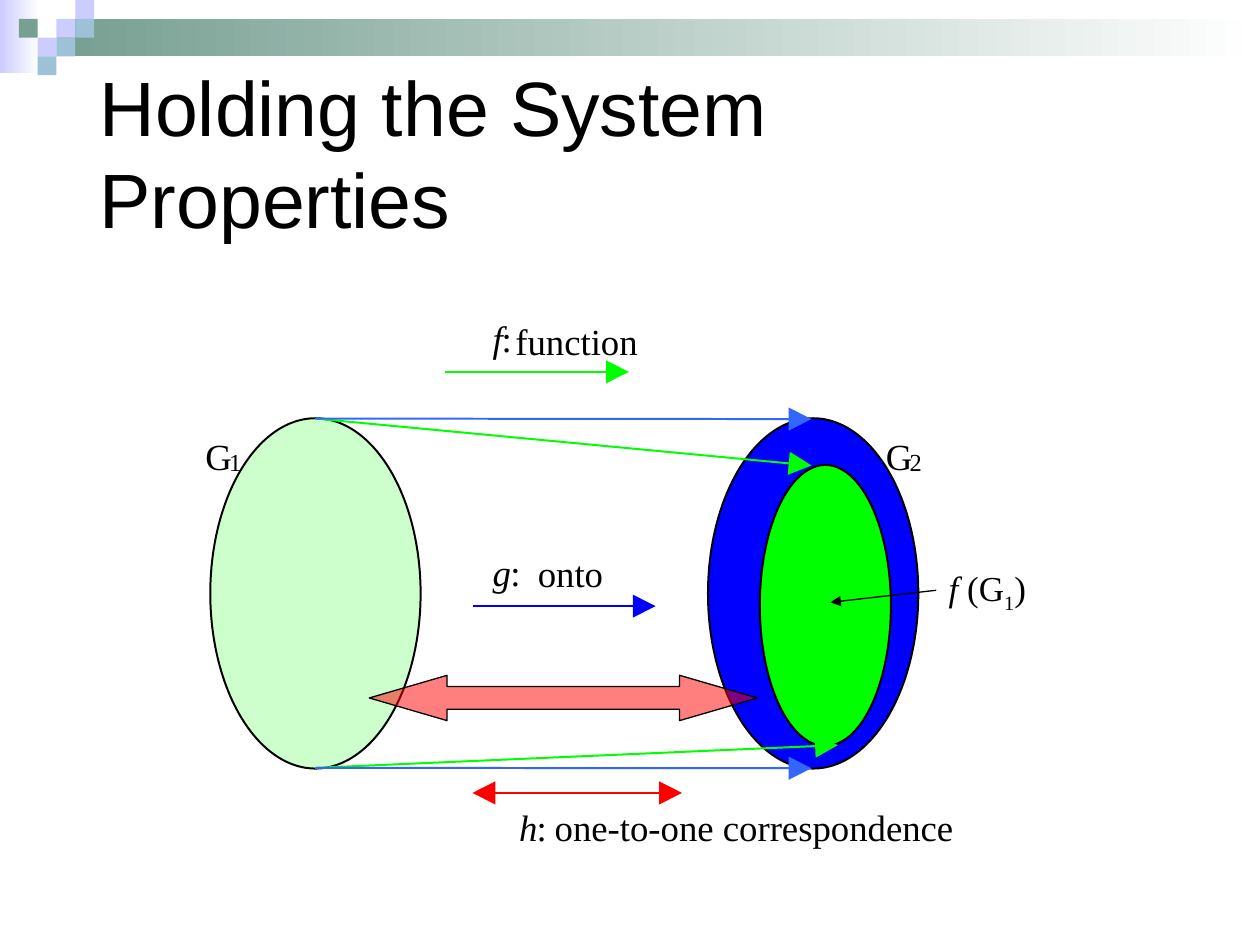
from dataclasses import dataclass
from math import hypot

from lxml.etree import SubElement
from pptx import Presentation
from pptx.dml.color import RGBColor
from pptx.enum.shapes import MSO_CONNECTOR, MSO_SHAPE
from pptx.enum.text import MSO_ANCHOR, MSO_AUTO_SIZE, PP_ALIGN
from pptx.oxml.ns import qn
from pptx.util import Pt


@dataclass(frozen=True)
class Theme:
    black: str = "000000"
    white: str = "FFFFFF"
    lilac: str = "CCCCFF"
    sage: str = "779F92"
    sky: str = "9DC2D7"
    mint: str = "CCFFCC"
    green: str = "00FF00"
    blue: str = "0000FF"
    azure: str = "3366FF"
    red: str = "FF0000"
    title_font: str = "Arial"
    label_font: str = "Times New Roman"
    title_size: float = 44
    label_size: float = 21
    image_size: float = 20
    index_size: float = 14
    line: float = 1.13
    thin: float = 0.75
    tile: float = 10.75
    head_length: float = 13
    head_half: float = 6.6


T = Theme()


@dataclass(frozen=True)
class Box:
    left: float
    top: float
    width: float
    height: float

    def emu(self) -> tuple:
        return Pt(self.left), Pt(self.top), Pt(self.width), Pt(self.height)


@dataclass(frozen=True)
class Arrow:
    start: tuple
    tip: tuple
    color: str
    double: bool = False


@dataclass(frozen=True)
class Label:
    text: str
    box: Box
    size: float = T.label_size
    italic: bool = False


SET_W, SET_H, SET_TOP = 120.2, 200.2, 239
DOMAIN = Box(120.2, SET_TOP, SET_W, SET_H)
CODOMAIN = Box(404.6, SET_TOP, SET_W, SET_H)
IMAGE = Box(434.2, 265.7, 74.9, 160.6)
ELLIPSES = [(DOMAIN, T.mint), (CODOMAIN, T.blue), (IMAGE, T.green)]

BANDS = [(Box(0, 0, 22.3, 41.8), T.lilac), (Box(32.4, 10.8, 687.6, 21.4), T.sage)]
TILES = [  # column, row, colour
    (4, 0, T.lilac), (3, 1, T.lilac), (4, 1, T.sky), (2, 2, T.lilac),
    (1, 1, T.sage), (3, 2, T.sky), (2, 3, T.sky),
]

DOMAIN_TOP = (180.2, 239.2)
DOMAIN_BOTTOM = (180.2, 438.8)
ARROWS = [
    Arrow((254.2, 212.5), (359.3, 212.5), T.green),
    Arrow((270, 453.1), (389.7, 453.1), T.red, double=True),
    Arrow((270, 346.4), (374.6, 346.4), T.blue),
    Arrow(DOMAIN_TOP, (463.7, 266), T.green),
    Arrow(DOMAIN_BOTTOM, (478.8, 425.8), T.green),
    Arrow(DOMAIN_TOP, (463.7, 239.5), T.azure),
    Arrow(DOMAIN_BOTTOM, (463.7, 439), T.azure),
]

LABELS = [
    Label("G", Box(117.4, 247.7, 15.5, 25.2)),
    Label("1", Box(131, 255.6, 7.5, 16.6), T.index_size),
    Label("g", Box(281.5, 313.9, 10.8, 25.2), italic=True),
    Label(":", Box(291.6, 313.9, 6, 25.2)),
    Label("onto", Box(307.4, 314.6, 39, 25.2)),
    Label("G", Box(506.2, 247.7, 15.5, 25.2)),
    Label("2", Box(519.8, 255.6, 7.5, 16.6), T.index_size),
    Label("f", Box(281.5, 180.7, 6, 25.2), italic=True),
    Label(":", Box(286.6, 180.7, 6, 25.2)),
    Label("function", Box(294.5, 181.9, 74, 25.2)),
    Label("h", Box(296.6, 460.1, 10.8, 25.2), italic=True),
    Label(":", Box(306.7, 460.1, 6, 25.2)),
    Label("one-to-one correspondence", Box(317, 460.1, 235, 25.2)),
]


def rgb(color: str) -> RGBColor:
    return RGBColor.from_string(color)


def set_font(font, name: str, size: float) -> None:
    font.name, font.size, font.color.rgb = name, Pt(size), rgb(T.black)


def style(sp, fill: str, line: float = 0) -> None:
    """Fill a shape and outline it in black; a zero line means no outline."""
    sp.shadow.inherit = False
    sp.fill.solid()
    sp.fill.fore_color.rgb = rgb(fill)
    if line:
        sp.line.color.rgb, sp.line.width = rgb(T.black), Pt(line)
    else:
        sp.line.fill.background()


def add_filled(s, kind, box: Box, fill: str, line: float = 0):
    sp = s.shapes.add_shape(kind, *box.emu())
    style(sp, fill, line)
    return sp


def add_band(s, box: Box, color: str) -> None:
    """Band that fades to white at its right end."""
    fill = add_filled(s, MSO_SHAPE.RECTANGLE, box, color).fill
    fill.gradient()
    fill.gradient_angle = 180
    for stop, position, tint in zip(fill.gradient_stops, (0, 1), (T.white, color)):
        stop.position, stop.color.rgb = position, rgb(tint)


def add_line(s, start: tuple, end: tuple, color: str, width: float):
    ends = [Pt(v) for v in (*start, *end)]
    cx = s.shapes.add_connector(MSO_CONNECTOR.STRAIGHT, *ends)
    cx.line.color.rgb, cx.line.width = rgb(color), Pt(width)
    SubElement(cx._element.spPr, qn("a:effectLst"))
    return cx


def add_head(s, tip: tuple, ux: float, uy: float, color: str) -> None:
    """Triangle ending at tip, pointing along the unit vector (ux, uy)."""
    x, y = tip[0] - T.head_length * ux, tip[1] - T.head_length * uy
    dx, dy = -uy * T.head_half, ux * T.head_half
    fb = s.shapes.build_freeform(Pt(x + dx), Pt(y + dy))
    corners = [tip, (x - dx, y - dy)]
    fb.add_line_segments([(Pt(a), Pt(b)) for a, b in corners], close=True)
    style(fb.convert_to_shape(), color)


def add_arrow(s, arrow: Arrow) -> None:
    (x1, y1), (x2, y2) = arrow.start, arrow.tip
    length = hypot(x2 - x1, y2 - y1)
    ux, uy = (x2 - x1) / length, (y2 - y1) / length
    inset = T.head_length - 1
    neck = (x2 - inset * ux, y2 - inset * uy)
    tail = (x1 + inset * ux, y1 + inset * uy) if arrow.double else arrow.start
    add_line(s, tail, neck, arrow.color, T.line)
    add_head(s, arrow.tip, ux, uy, arrow.color)
    if arrow.double:
        add_head(s, arrow.start, -ux, -uy, arrow.color)


def add_label(s, label: Label) -> None:
    tf = s.shapes.add_textbox(*label.box.emu()).text_frame
    tf.margin_left = tf.margin_right = tf.margin_top = tf.margin_bottom = 0
    tf.word_wrap = False
    p = tf.paragraphs[0]
    p.text = label.text
    set_font(p.font, T.label_font, label.size)
    p.font.italic = label.italic


def add_title(s, text: str) -> None:
    sp = s.shapes.title
    sp.left, sp.top, sp.width, sp.height = Box(49.7, 35.6, 583.2, 102.2).emu()
    tf = sp.text_frame
    tf.auto_size, tf.vertical_anchor = MSO_AUTO_SIZE.NONE, MSO_ANCHOR.MIDDLE
    p = tf.paragraphs[0]
    p.text, p.alignment = text, PP_ALIGN.LEFT
    set_font(p.font, T.title_font, T.title_size)


def add_image_label(s):
    sp = s.shapes.add_textbox(*Box(535, 320, 95.8, 34.6).emu())
    sp.text_frame.word_wrap = True
    p = sp.text_frame.paragraphs[0]
    set_font(p.font, T.label_font, T.image_size)
    for text, italic, baseline in (("f ", True, 0), ("(G", False, 0),
                                   ("1", False, -25000), (")", False, 0)):
        r = p.add_run()
        r.text, r.font.italic = text, italic
        if baseline:
            r.font._element.set("baseline", str(baseline))
    return sp


def main() -> None:
    prs = Presentation()
    prs.slide_width, prs.slide_height = Pt(720), Pt(540)
    s = prs.slides.add_slide(prs.slide_layouts[5])
    for box, color in BANDS:
        add_band(s, box, color)
    for col, row, color in TILES:
        box = Box(col * T.tile, row * T.tile, T.tile, T.tile)
        add_filled(s, MSO_SHAPE.RECTANGLE, box, color)
    add_title(s, "Holding the System Properties")
    for box, color in ELLIPSES:
        add_filled(s, MSO_SHAPE.OVAL, box, color, T.line)
    for arrow in ARROWS:
        add_arrow(s, arrow)
    for label in LABELS:
        add_label(s, label)

    image_label = add_image_label(s)
    pointer = add_line(s, (535, 337.3), (474.5, 344.2), T.black, T.thin)
    pointer.begin_connect(image_label, 1)
    SubElement(pointer.line._get_or_add_ln(), qn("a:tailEnd"), type="triangle")

    sp = add_filled(s, MSO_SHAPE.LEFT_RIGHT_ARROW, Box(211, 385.9, 221.8, 25.9),
                    T.red, T.thin)
    sp.adjustments[0], sp.adjustments[1] = 0.5, 1.717
    color = sp._element.spPr.find(qn("a:solidFill"))[0]
    SubElement(color, qn("a:alpha"), val="50000")
    prs.save("out.pptx")


if __name__ == "__main__":
    main()
